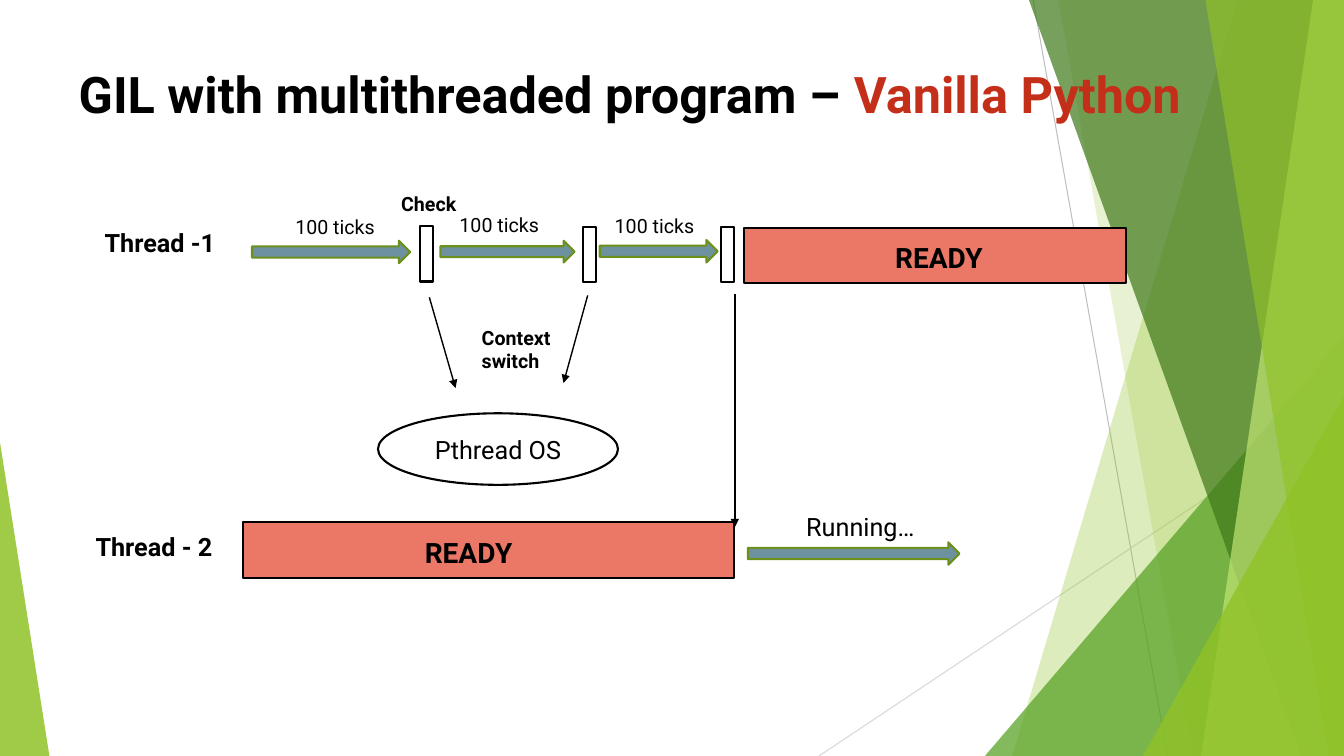
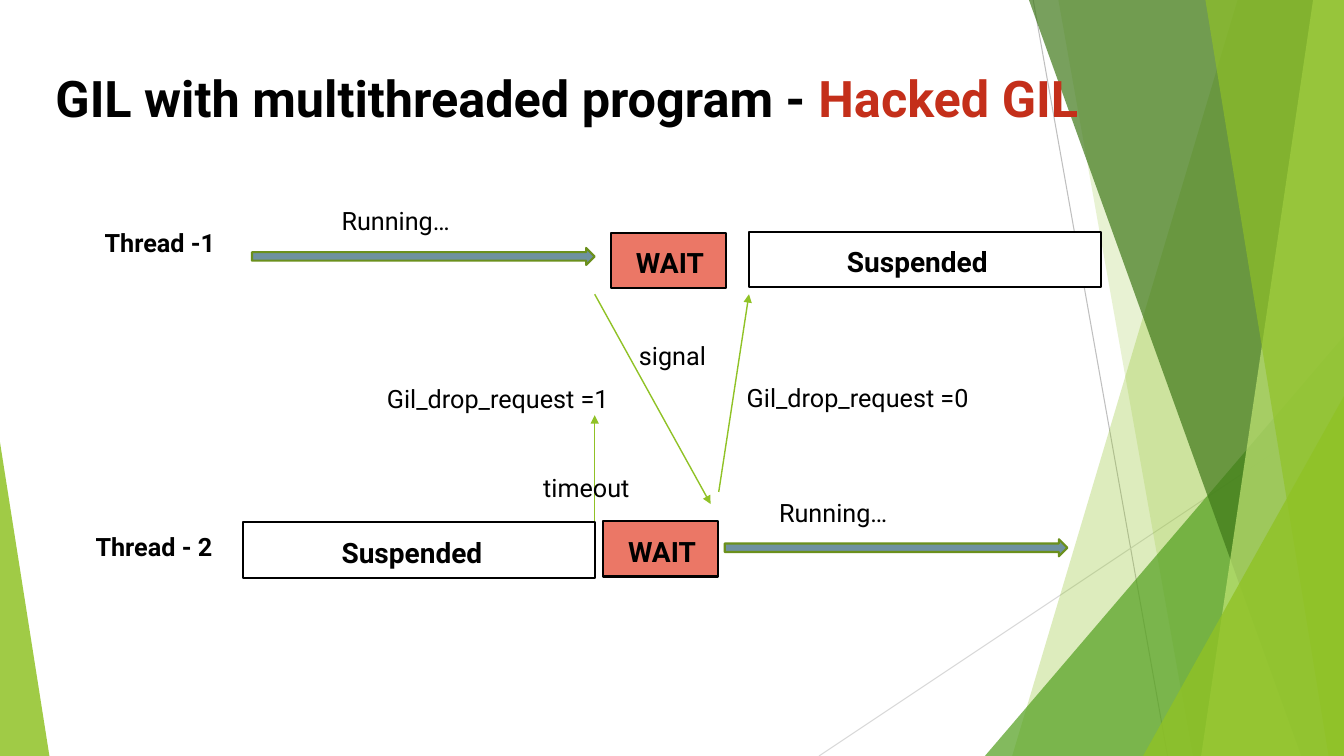
from pptx import Presentation
from pptx.dml.color import RGBColor
from pptx.enum.shapes import MSO_CONNECTOR, MSO_SHAPE
from pptx.enum.text import MSO_ANCHOR, MSO_AUTO_SIZE, PP_ALIGN
from pptx.oxml.ns import qn
from pptx.util import Pt
from lxml.etree import SubElement

W, H = 960, 540
FONT = "Roboto"
BLACK, WHITE, RED = "000000", "FFFFFF", "C42F1A"
GREEN, CORAL, STEEL, OLIVE = "90C226", "EB7766", "6E91A0", "6B901C"
BAR_H = 39.6

# Background: lines, then facets from back to front
LINES = [((738, 0), (834, H), "BFBFBF"), ((W, 290), (585, H), "D9D9D9")]
# Band: top-left x, bottom-left x; the right side is the slide edge
# Triangle: left, top, width, apex position
FACETS = [
    ("band", (884, 723), GREEN, 30),
    ("band", (756, 852), GREEN, 20),
    ("triangle", (703.5, 240, 256.5, 1), "54A021", 72),
    ("band", (735, 929.5), "3F7819", 70),
    ("band", (938, 858), "C0E474", 70),
    ("band", (861, 949), GREEN, 65),
    ("triangle", (816.5, 283, 143.5, 1), GREEN, 80),
    ("triangle", (0, 316, 35.3, 0), GREEN, 85),
]

# Labels: text, left, top, width, size, bold
THREADS = [("Thread -1", 67.7, 159.1, 105, 18, True),
           ("Thread - 2", 61.2, 375.8, 105, 18, True)]

# Bars: text, left, top, width, text indent, fill
# Arrows: left, top, width, height; links: from, to
SLIDES = [
    dict(
        title=("GIL with multithreaded program – ", "Vanilla Python"),
        title_at=(49, 41.8, 847.4),
        bars=[("READY", 173.5, 373, 350.6, 130, CORAL),
              ("READY", 531.4, 162.7, 272.9, 108, CORAL)],
        checks=[(300.2, 161.5), (416.2, 162), (514.8, 162)],
        ovals=[("Pthread OS", 270, 295.2, 171.4, 51.1)],
        arrows=[(180, 172, 113, 16), (314.6, 172, 95.8, 15.5),
                (428.4, 171.5, 84.2, 16), (534.2, 387.4, 151.2, 16)],
        links=[((524.9, 210.2), (524.9, 376.6)),
               ((306.7, 212.4), (325.4, 277.2)),
               ((419.8, 211), (402.5, 273.6))],
        link_color=BLACK,
        labels=[("Context switch", 337, 229, 84.2, 14, True),
                ("100 ticks", 203.8, 149.8, 78.5, 14, False),
                ("100 ticks", 321.1, 148.3, 78.5, 14, False),
                ("100 ticks", 432, 149, 78.5, 14, False),
                ("Check", 279.4, 133.2, 68.4, 14, True),
                ("Running…", 568.8, 361.4, 175, 18, False)],
    ),
    dict(
        title=("GIL with multithreaded program - ", "Hacked GIL"),
        title_at=(32.4, 44.6, 875.5),
        bars=[("Suspended", 173.5, 373, 251.3, 70.5, WHITE),
              ("Suspended", 535, 165.6, 251.3, 70, WHITE),
              ("WAIT", 436.3, 166.3, 82.1, 18, CORAL),
              ("WAIT", 430.6, 372.2, 82.1, 18, CORAL)],
        checks=[],
        ovals=[],
        arrows=[(180, 177.1, 244.8, 12.2), (517.7, 385.2, 244.8, 12.2)],
        links=[((424.8, 210.2), (507.6, 360)),
               ((513.4, 351.4), (535, 210.2)),
               ((424.8, 372.2), (424.8, 296.6))],
        link_color=GREEN,
        labels=[("Running…", 236.9, 143.3, 175, 18, False),
                ("Running…", 549.4, 351.4, 175, 18, False),
                ("timeout", 380.9, 334.1, 94.3, 18, False),
                ("Gil_drop_request =1", 269.3, 270, 207.4, 18, False),
                ("Gil_drop_request =0", 526.3, 269.3, 207.4, 18, False),
                ("signal", 449.3, 239.8, 94.3, 18, False)],
    ),
]


def rgb(value):
    return RGBColor.from_string(value)


def add_run(p, text, size, bold=False, color=BLACK):
    r = p.add_run()
    r.text = text
    r.font.name, r.font.size, r.font.bold = FONT, Pt(size), bold
    r.font.color.rgb = rgb(color)


def paint(sp, fill=None, line=None, alpha=None):
    sp.shadow.inherit = False
    if fill:
        sp.fill.solid()
        sp.fill.fore_color.rgb = rgb(fill)
    else:
        sp.fill.background()
    if alpha:
        clr = sp.element.spPr.find(".//" + qn("a:srgbClr"))
        SubElement(clr, qn("a:alpha"), val=str(alpha * 1000))
    if line:
        sp.line.color.rgb = rgb(line)
        sp.line.width = Pt(1.5)
    else:
        sp.line.fill.background()


def add_shape(s, kind, x, y, w, h, **colors):
    sp = s.shapes.add_shape(kind, Pt(x), Pt(y), Pt(w), Pt(h))
    paint(sp, **colors)
    return sp


def add_line(s, start, end, color, width, head=False):
    cn = s.shapes.add_connector(MSO_CONNECTOR.STRAIGHT, *map(Pt, start + end))
    cn.line.color.rgb = rgb(color)
    cn.line.width = Pt(width)
    spPr = cn.element.spPr
    if head:
        SubElement(spPr.find(qn("a:ln")), qn("a:tailEnd"), type="triangle")
    SubElement(spPr, qn("a:effectLst"))
    return cn


def add_label(s, text, x, y, w, size, bold):
    tf = s.shapes.add_textbox(Pt(x), Pt(y), Pt(w), Pt(size * 1.6)).text_frame
    tf.word_wrap = True
    tf.auto_size = MSO_AUTO_SIZE.SHAPE_TO_FIT_TEXT
    add_run(tf.paragraphs[0], text, size, bold)


def add_bar(s, text, x, y, w, indent, fill):
    sp = add_shape(s, MSO_SHAPE.RECTANGLE, x, y, w, BAR_H, fill=fill, line=BLACK)
    tf = sp.text_frame
    tf.vertical_anchor = MSO_ANCHOR.MIDDLE
    tf.margin_left, tf.margin_right = Pt(indent), 0
    tf.margin_top, tf.margin_bottom = Pt(3), 0
    p = tf.paragraphs[0]
    p.alignment = PP_ALIGN.LEFT
    add_run(p, text, 20, True)


def add_oval(s, text, *box):
    sp = add_shape(s, MSO_SHAPE.OVAL, *box, line=BLACK)
    sp.text_frame.vertical_anchor = MSO_ANCHOR.MIDDLE
    p = sp.text_frame.paragraphs[0]
    p.alignment = PP_ALIGN.CENTER
    add_run(p, text, 18)


def add_facet(s, kind, place, color, alpha):
    if kind == "band":
        top, bottom = place
        fb = s.shapes.build_freeform(Pt(top), 0)
        corners = [(W, 0), (W, H), (bottom, H)]
        fb.add_line_segments([(Pt(x), Pt(y)) for x, y in corners], close=True)
        sp = fb.convert_to_shape()
        paint(sp, color, alpha=alpha)
    else:
        x, y, w, apex = place
        sp = add_shape(s, MSO_SHAPE.ISOSCELES_TRIANGLE, x, y, w, H - y,
                       fill=color, alpha=alpha)
        sp.adjustments[0] = apex
    return sp


def add_background(s, layout):
    """Draw the facets, then move them to the layout all slides share."""
    parts = [add_line(s, *line, 0.75) for line in LINES]
    parts += [add_facet(s, *facet) for facet in FACETS]
    for i, part in enumerate(parts):
        part.element.find(".//" + qn("p:cNvPr")).set("id", str(100 + i))
        layout.shapes.element.insert(2 + i, part.element)


def set_title(s, runs, x, y, w):
    title = s.shapes.title
    title.left, title.top, title.width, title.height = map(Pt, (x, y, w, 51))
    tf = title.text_frame
    tf.word_wrap = True
    tf.auto_size = MSO_AUTO_SIZE.NONE
    tf.vertical_anchor = MSO_ANCHOR.TOP
    p = tf.paragraphs[0]
    p.alignment = PP_ALIGN.LEFT
    for text, color in zip(runs, (BLACK, RED)):
        add_run(p, text, 36, True, color)


def add_diagram(s, d):
    set_title(s, d["title"], *d["title_at"])
    for bar in d["bars"]:
        add_bar(s, *bar)
    for x, y in d["checks"]:
        add_shape(s, MSO_SHAPE.RECTANGLE, x, y, 9.4, BAR_H, line=BLACK)
    for oval in d["ovals"]:
        add_oval(s, *oval)
    for arrow in d["arrows"]:
        add_shape(s, MSO_SHAPE.RIGHT_ARROW, *arrow, fill=STEEL, line=OLIVE)
    for start, end in d["links"]:
        add_line(s, start, end, d["link_color"], 1, head=True)
    for label in THREADS + d["labels"]:
        add_label(s, *label)


def main():
    prs = Presentation()
    prs.slide_width, prs.slide_height = Pt(W), Pt(H)
    layout = prs.slide_layouts.get_by_name("Title Only")
    slides = [prs.slides.add_slide(layout) for _ in SLIDES]
    add_background(slides[0], layout)
    for s, d in zip(slides, SLIDES):
        add_diagram(s, d)
    prs.save("out.pptx")


if __name__ == "__main__":
    main()
